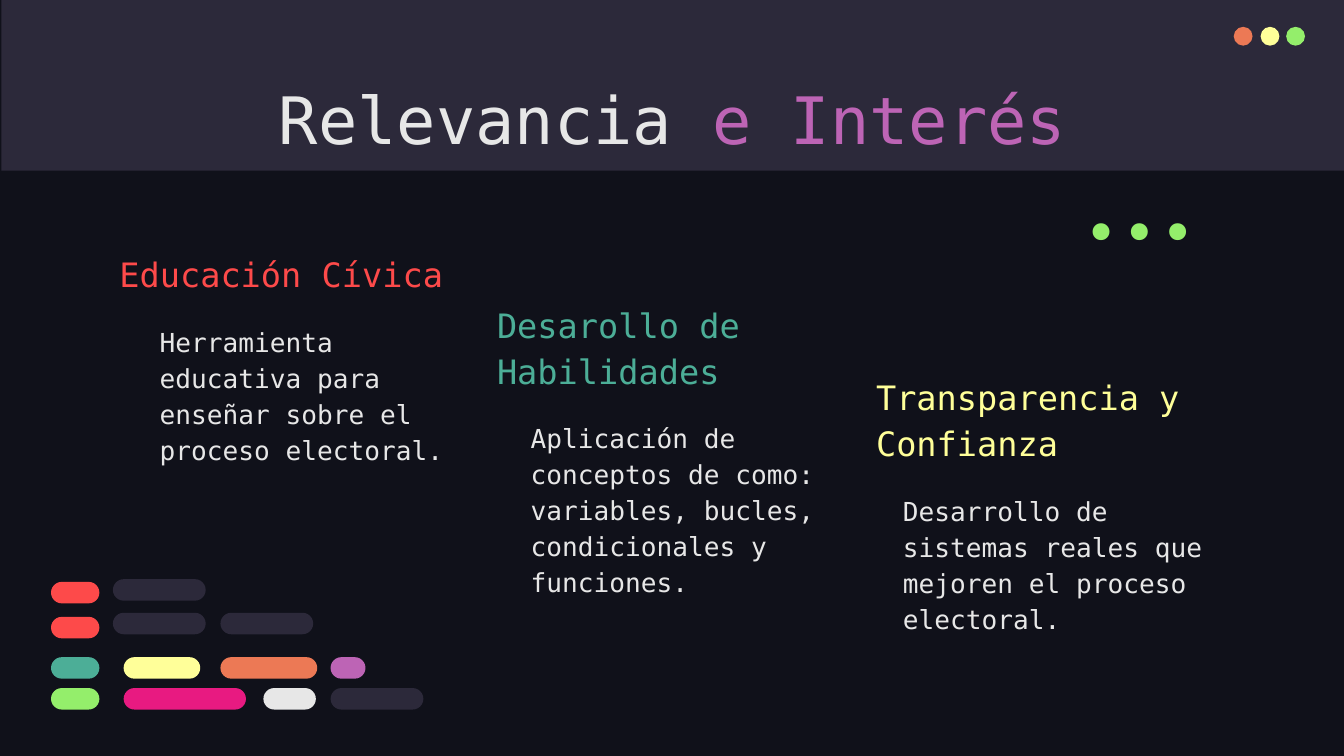
from pptx import Presentation
from pptx.dml.color import RGBColor
from pptx.enum.shapes import MSO_SHAPE as SHAPE
from pptx.enum.text import MSO_ANCHOR as ANCHOR, MSO_AUTO_SIZE as AUTO, PP_ALIGN as ALIGN
from pptx.util import Inches, Pt

MONO = "DejaVu Sans Mono"
BACK, PANEL, LIGHT = "10111A", "2C293A", "E7E7E7"
RED, TEAL, YELLOW, ORANGE = "FD4A4A", "4CAE97", "FFFF99", "EC7955"
PURPLE, GREEN, PINK = "BD64B5", "94EE6B", "E81A81"

TITLE = [("Relevancia ", LIGHT), ("e Interés", PURPLE)]
TOPICS = [
    ("Educación Cívica", RED, 0.79, 1.09, 2.29,
     "Herramienta educativa para enseñar sobre el proceso electoral."),
    ("Desarollo de Habilidades", TEAL, 3.6, 3.85, 3.01,
     "Aplicación de conceptos de como: variables, bucles, condicionales y funciones."),
    ("Transparencia y Confianza", YELLOW, 6.42, 6.62, 3.55,
     "Desarrollo de sistemas reales que mejoren el proceso electoral."),
]
WINDOW_DOTS = [(9.18, ORANGE), (9.38, YELLOW), (9.57, GREEN)]
CODE_ROWS = [
    (4.31, [(0.84, 0.69, PANEL)]),
    (4.33, [(0.38, 0.36, RED)]),
    (4.56, [(0.84, 0.69, PANEL), (1.64, 0.69, PANEL)]),
    (4.59, [(0.38, 0.36, RED)]),
    (4.89, [(0.38, 0.36, TEAL), (0.92, 0.57, YELLOW), (1.64, 0.72, ORANGE), (2.46, 0.26, PURPLE)]),
    (5.12, [(0.38, 0.36, GREEN), (0.92, 0.91, PINK), (1.96, 0.39, LIGHT), (2.46, 0.69, PANEL)]),
]
HEADING_H = 0.72


def rgb(value):
    return RGBColor.from_string(value)


def add_block(s, kind, x, y, w, h, color):
    sp = s.shapes.add_shape(kind, Inches(x), Inches(y), Inches(w), Inches(h))
    sp.shadow.inherit = False
    sp.fill.solid()
    sp.fill.fore_color.rgb = rgb(color)
    sp.line.fill.background()
    return sp


def set_frame(tf, anchor):
    tf.word_wrap = True
    tf.auto_size = AUTO.NONE
    tf.vertical_anchor = anchor
    tf.margin_left = tf.margin_right = tf.margin_top = tf.margin_bottom = Inches(0.1)


def add_text(s, text, x, y, w, h, size, color, anchor=ANCHOR.TOP,
             font=MONO, align=ALIGN.LEFT, spacing=1.15):
    sp = s.shapes.add_textbox(Inches(x), Inches(y), Inches(w), Inches(h))
    set_frame(sp.text_frame, anchor)
    p = sp.text_frame.paragraphs[0]
    p.text = text
    p.alignment = align
    p.line_spacing = spacing
    p.font.size = Pt(size)
    p.font.name = font
    p.font.color.rgb = rgb(color)


def add_title(s):
    sp = s.shapes.title
    sp.left, sp.top, sp.width, sp.height = map(Inches, (0.79, 0.49, 8.43, 0.63))
    set_frame(sp.text_frame, ANCHOR.TOP)
    p = sp.text_frame.paragraphs[0]
    p.alignment = ALIGN.CENTER
    p.line_spacing = 1.0
    p.font.size = Pt(35)
    p.font.name = MONO
    for text, color in TITLE:
        r = p.add_run()
        r.text = text
        r.font.color.rgb = rgb(color)
    sp.element.getparent().append(sp.element)


def main():
    prs = Presentation()
    prs.slide_width = Inches(10)
    prs.slide_height = prs.slide_width * 9 // 16
    s = prs.slides.add_slide(prs.slide_layouts[5])
    s.background.fill.solid()
    s.background.fill.fore_color.rgb = rgb(BACK)

    add_block(s, SHAPE.RECTANGLE, 0.01, 0, 10, 1.27, PANEL)
    for x, color in WINDOW_DOTS:
        add_block(s, SHAPE.OVAL, x, 0.2, 0.14, 0.14, color)
    add_title(s)

    for heading, color, heading_x, body_x, y, body in TOPICS:
        add_text(s, body, body_x, y, 2.6, 1.49, 14, LIGHT)
        add_text(s, heading, heading_x, y - HEADING_H, 2.64, HEADING_H, 18, color, ANCHOR.BOTTOM)

    for y, bars in CODE_ROWS:
        for x, w, color in bars:
            add_block(s, SHAPE.ROUNDED_RECTANGLE, x, y, w, 0.16, color).adjustments[0] = 0.5

    add_text(s, "...", 7.64, 1.42, 1.58, 0.6, 50, GREEN, ANCHOR.BOTTOM,
             "Fira Code", ALIGN.RIGHT, 1.0)
    prs.save("out.pptx")


if __name__ == "__main__":
    main()
